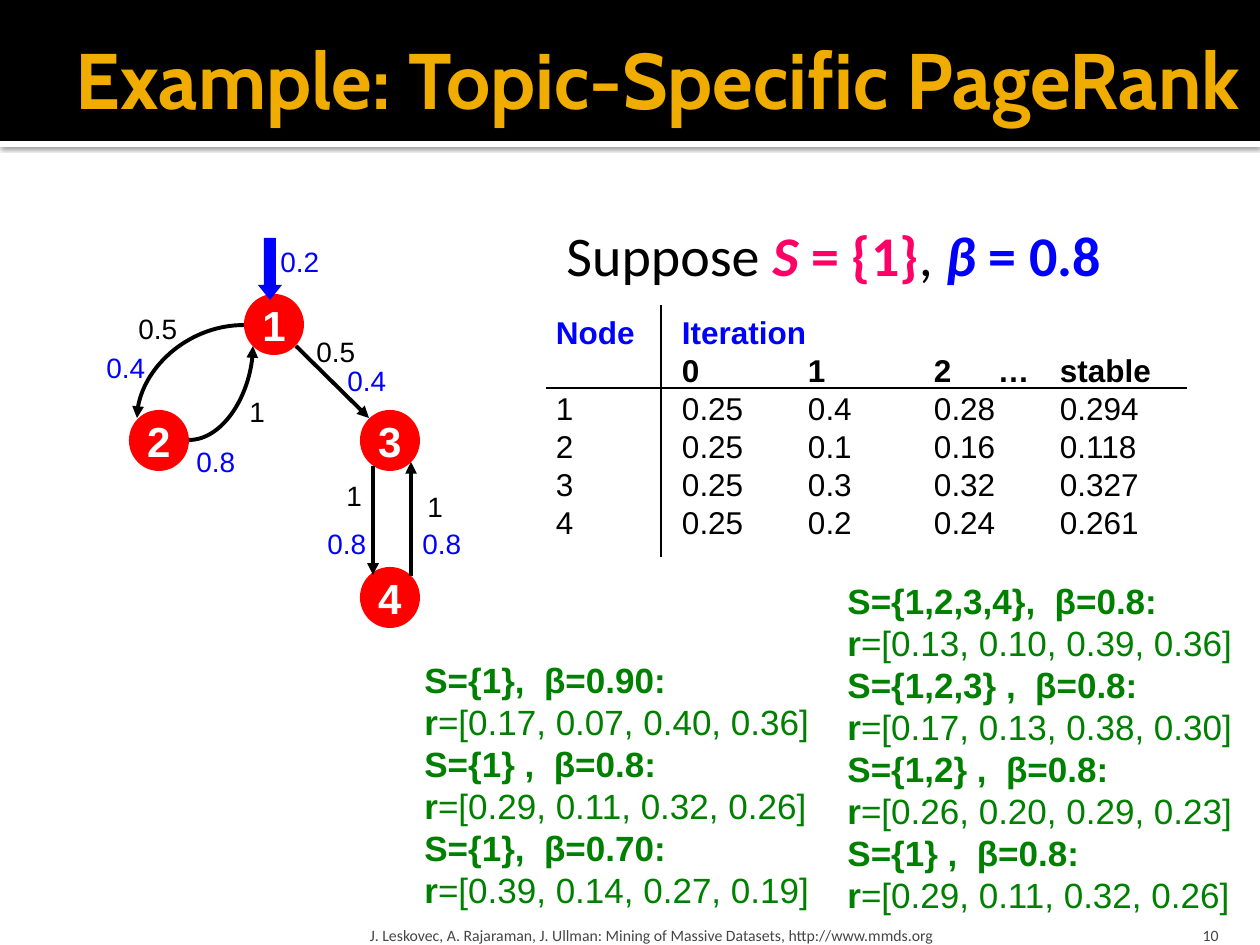
import pptx
import pptx.dml.color
import pptx.enum.shapes
import pptx.enum.text
import pptx.oxml
import pptx.oxml.ns
import pptx.util

RGB = pptx.dml.color.RGBColor
BLACK = RGB(0, 0, 0)
WHITE = RGB(255, 255, 255)
GOLD = RGB(0xF0, 0xAD, 0x00)
RED = RGB(255, 0, 0)
BLUE = RGB(0, 0, 255)
PINK = RGB(0xFF, 0x00, 0x66)
GREEN = RGB(0, 0x80, 0)
GREY = RGB(0x45, 0x45, 0x45)

SHAPE = pptx.enum.shapes.MSO_SHAPE
LINK = pptx.enum.shapes.MSO_CONNECTOR
ANCHOR = pptx.enum.text.MSO_ANCHOR
ALIGN = pptx.enum.text.PP_ALIGN
QN = pptx.oxml.ns.qn
NS = pptx.oxml.ns.nsdecls("a")
NO_GRID = "{2D5ABB26-0587-4C30-8999-92F81FD0307C}"
SHADOW = (
    f'<a:effectLst {NS}><a:outerShdw blurRad="31750" dist="10160" dir="5400000">'
    '<a:srgbClr val="000000"><a:alpha val="60000"/></a:srgbClr>'
    '</a:outerShdw></a:effectLst>'
)


def px(num):
    return pptx.util.Emu(round(num * 914400 / 126))


def look(name, size, ink, **more):
    return {"name": name, "size": pptx.util.Pt(size), "ink": ink, **more}


def apply(target, values):
    for key, value in values.items():
        if key == "ink":
            target.color.rgb = value
        else:
            setattr(target, key, value)


class Deck:
    title = look("Cabin", 45, GOLD, bold=True)
    node = look("Arial", 24, WHITE, bold=True)
    lead = look("Calibri", 32, BLACK)
    cell = look("Arial", 18, BLACK)
    label = look("Arial", 16, BLACK)
    note = look("Arial", 20, GREEN)
    foot = look("Calibri", 9, GREY)

    def __init__(self):
        self.prs = pptx.Presentation()
        self.prs.slide_width, self.prs.slide_height = px(1260), px(945)
        self.slide = self.prs.slides.add_slide(self.prs.slide_layouts[6])
        self.shapes = self.slide.shapes

    def put(self, frame, paras, base, para=None, **box):
        """Fill a frame; each paragraph is a list of (text, changes to base)."""
        apply(frame, box)
        for num, runs in enumerate(paras):
            line = frame.add_paragraph() if num else frame.paragraphs[0]
            apply(line, para or {})
            for words, change in runs:
                run = line.add_run()
                run.text = words
                apply(run.font, {**base, **change})

    def text(self, area, paras, base, para=None, **box):
        frame = self.shapes.add_textbox(*map(px, area)).text_frame
        self.put(frame, paras, base, para, **{"word_wrap": False, **box})

    def shape(self, kind, area, ink):
        item = self.shapes.add_shape(kind, *map(px, area))
        item.shadow.inherit = False
        item.fill.solid()
        item.fill.fore_color.rgb = ink
        item.line.fill.background()
        return item

    def circle(self, name, left, top):
        item = self.shape(SHAPE.OVAL, (left, top, 60, 61), RED)
        self.put(item.text_frame, [[(name, {})]], self.node,
                 {"alignment": ALIGN.CENTER},
                 word_wrap=False, vertical_anchor=ANCHOR.MIDDLE)

    def line(self, ends, width=0.75, curve=False, arrow=False):
        kind = LINK.CURVE if curve else LINK.STRAIGHT
        item = self.shapes.add_connector(kind, *map(px, ends))
        item.line.color.rgb = BLACK
        item.line.width = pptx.util.Pt(width)
        props = item._element.spPr
        if curve:
            props.find(QN("a:prstGeom")).set("prst", "curvedConnector2")
        if arrow:
            tip = pptx.oxml.parse_xml(f'<a:tailEnd {NS} type="triangle"/>')
            props.find(QN("a:ln")).append(tip)
        props.append(pptx.oxml.parse_xml(f"<a:effectLst {NS}/>"))

    def table(self, left, top, widths, high, rows):
        area = (left, top, sum(widths), high * len(rows))
        grid = self.shapes.add_table(len(rows), len(widths), *map(px, area)).table
        apply(grid, {"first_row": False, "horz_banding": False})
        grid._tbl.tblPr.find(QN("a:tableStyleId")).text = NO_GRID
        for col, width in zip(grid.columns, widths):
            col.width = px(width)
        for num, row in enumerate(rows):
            grid.rows[num].height = px(high)
            change = {"bold": num < 2, "ink": BLUE if num == 0 else BLACK}
            for pos, words in enumerate(row):
                cell = grid.cell(num, pos)
                apply(cell, dict.fromkeys(
                    ("margin_left", "margin_right", "margin_top", "margin_bottom"), 0))
                cell.vertical_anchor = ANCHOR.MIDDLE
                cell.fill.background()
                base = {**self.cell, **change}
                if words:
                    self.put(cell.text_frame, [[(words, {})]], base)
                else:
                    apply(cell.text_frame.paragraphs[0].font, base)
        grid.cell(0, 1).merge(grid.cell(0, len(widths) - 1))

    def notes(self, left, top, pairs):
        """Lists pairs of a bold setting and its rank vector r."""
        bold = {"bold": True}
        paras = []
        for head, ranks in pairs:
            paras += [[(head, bold)], [("r", bold), (f"=[{ranks}]", {})]]
        area = (left, top, 412, 42 * len(paras) + 13)
        self.text(area, paras, self.note, {"line_spacing": pptx.util.Pt(24)})


def main():
    deck = Deck()
    bar = deck.shape(SHAPE.RECTANGLE, (0, 141, 1260, 6), WHITE)
    props = bar._element.spPr
    props.remove(props.find(QN("a:effectLst")))
    props.append(pptx.oxml.parse_xml(SHADOW))
    deck.shape(SHAPE.RECTANGLE, (0, 0, 1260, 141), BLACK)
    deck.text((63, 10, 1197, 136), [[("Example: Topic-Specific PageRank", {})]],
              deck.title, word_wrap=True, vertical_anchor=ANCHOR.MIDDLE,
              margin_right=px(6))

    for node in (("1", 244, 294), ("2", 129, 410), ("3", 360, 410), ("4", 360, 567)):
        deck.circle(*node)
    for ends in ((244, 325, 137, 418), (189, 440, 253, 346)):
        deck.line(ends, 2.25, curve=True, arrow=True)
    for ends in ((296, 346, 369, 418), (373, 466, 373, 575), (411, 576, 411, 462)):
        deck.line(ends, 2.25, arrow=True)

    pink = {"ink": PINK, "bold": True}
    blue = {"ink": BLUE, "bold": True}
    deck.text((554, 214, 562, 81), [[
        ("Suppose ", {}), ("S", {**pink, "italic": True}), (" = {1}", pink),
        (", ", {}), ("β", {**blue, "italic": True}), (" = 0.8", blue)]], deck.lead)

    deck.table(556, 315, (126, 126, 126, 64, 62, 126), 38, [
        ("Node", "Iteration", "", "", "", ""),
        ("", "0", "1", "2", "…", "stable"),
        ("1", "0.25", "0.4", "0.28", "", "0.294"),
        ("2", "0.25", "0.1", "0.16", "", "0.118"),
        ("3", "0.25", "0.3", "0.32", "", "0.327"),
        ("4", "0.25", "0.2", "0.24", "", "0.261")])
    deck.line((546, 388, 1187, 388))
    deck.line((661, 305, 661, 557))

    arrow = deck.shape(SHAPE.DOWN_ARROW, (258, 238, 24, 62), BLUE)
    arrow.adjustments[0], arrow.adjustments[1] = 0.5, 0.625
    labels = {
        BLACK: [("0.5", 304, 328), ("0.5", 126, 305), ("1", 237, 388),
                ("1", 334, 472), ("1", 415, 483)],
        BLUE: [("0.2", 268, 238), ("0.4", 94, 344), ("0.4", 335, 357),
               ("0.8", 184, 438), ("0.8", 315, 520), ("0.8", 410, 520)]}
    for ink, items in labels.items():
        for words, left, top in items:
            width = 64 if len(words) > 1 else 42
            deck.text((left, top, width, 47), [[(words, {"ink": ink})]], deck.label)

    low = {"word_wrap": True, "vertical_anchor": ANCHOR.BOTTOM, "margin_bottom": 0}
    deck.text((1130, 907, 101, 38), [[("10", {})]], deck.foot,
              {"alignment": ALIGN.RIGHT}, **low)
    source = ("J. Leskovec, A. Rajaraman, J. Ullman: "
              "Mining of Massive Datasets, http://www.mmds.org")
    deck.text((364, 907, 759, 38), [[(source, {})]], deck.foot,
              margin_left=px(6), margin_right=px(6), **low)

    deck.notes(835, 573, [
        ("S={1,2,3,4},  β=0.8:", "0.13, 0.10, 0.39, 0.36"),
        ("S={1,2,3} ,  β=0.8:", "0.17, 0.13, 0.38, 0.30"),
        ("S={1,2} ,  β=0.8:", "0.26, 0.20, 0.29, 0.23"),
        ("S={1} ,  β=0.8:", "0.29, 0.11, 0.32, 0.26")])
    deck.notes(412, 652, [
        ("S={1},  β=0.90:", "0.17, 0.07, 0.40, 0.36"),
        ("S={1} ,  β=0.8:", "0.29, 0.11, 0.32, 0.26"),
        ("S={1},  β=0.70:", "0.39, 0.14, 0.27, 0.19")])
    deck.prs.save("out.pptx")


if __name__ == "__main__":
    main()
